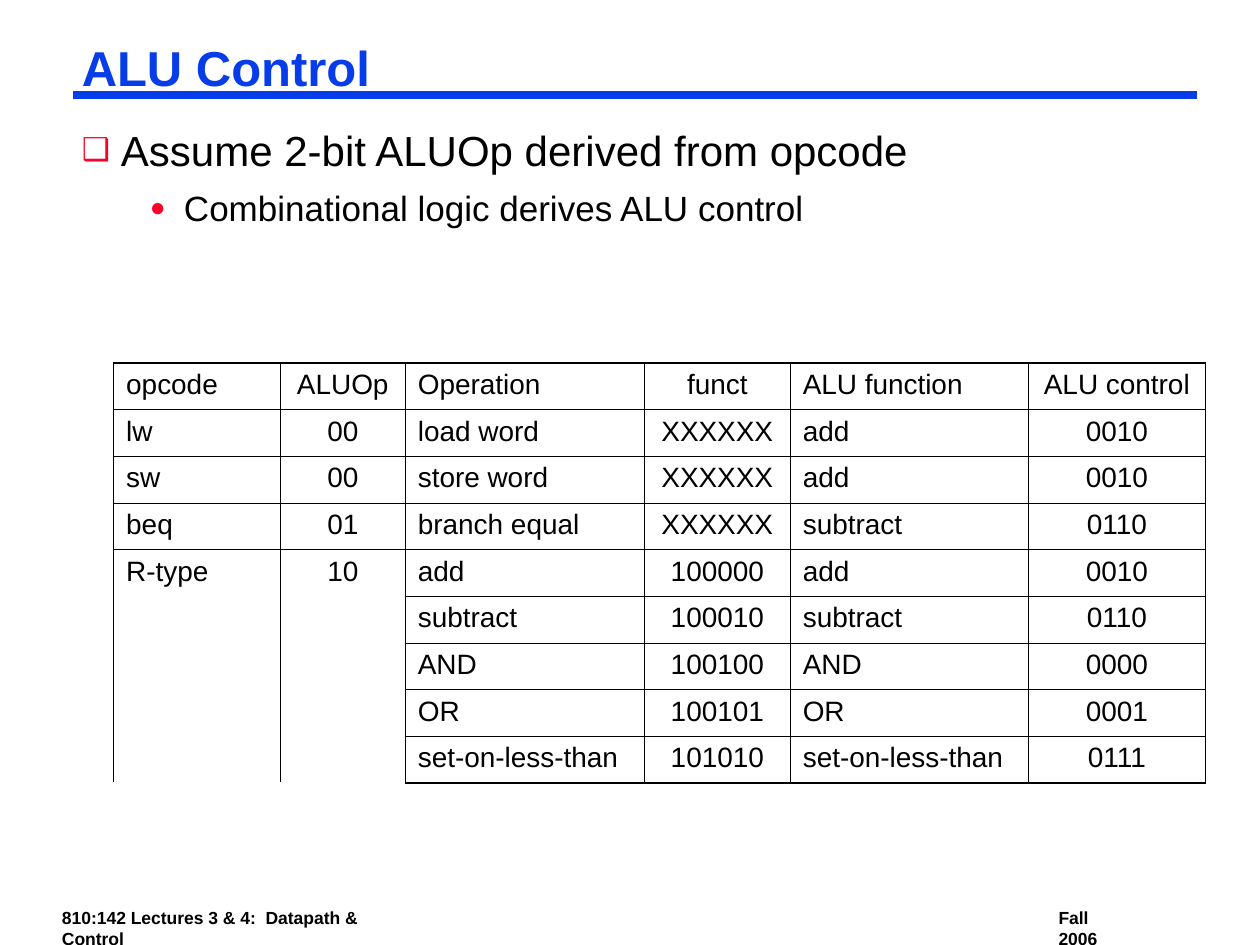
from lxml import etree
from pptx import Presentation
from pptx.dml.color import RGBColor
from pptx.enum.shapes import MSO_CONNECTOR
from pptx.enum.text import MSO_ANCHOR, PP_ALIGN
from pptx.oxml.ns import qn
from pptx.util import Cm, Pt

LEFT, CENTER = PP_ALIGN.LEFT, PP_ALIGN.CENTER
TOP = MSO_ANCHOR.TOP
STRAIGHT = MSO_CONNECTOR.STRAIGHT

FONT = "Arial"
BLACK, BLUE, RED = "000000", "063DE8", "FC0128"
OUTER, HEADER, INNER = 1.08, 0.75, 0.45  # border widths in points

COLUMN_WIDTHS = [3.36, 2.52, 4.82, 2.94, 4.8, 3.57]
COLUMN_ALIGNS = [LEFT, CENTER] * 3
ROW_HEIGHT = 0.94
ALU_ROWS = [
    ["opcode", "ALUOp", "Operation", "funct", "ALU function", "ALU control"],
    ["lw", "00", "load word", "XXXXXX", "add", "0010"],
    ["sw", "00", "store word", "XXXXXX", "add", "0010"],
    ["beq", "01", "branch equal", "XXXXXX", "subtract", "0110"],
    ["R-type", "10", "add", "100000", "add", "0010"],
    ["", "", "subtract", "100010", "subtract", "0110"],
    ["", "", "AND", "100100", "AND", "0000"],
    ["", "", "OR", "100101", "OR", "0001"],
    ["", "", "set-on-less-than", "101010", "set-on-less-than", "0111"],
]
R_TYPE_ROW = 4


def rgb(color):
    return RGBColor.from_string(color)


def write(p, text, size=16, color=BLACK, bold=False, align=LEFT,
          line=None, before=None):
    """Put formatted text into a paragraph."""
    p.alignment = align
    if line is not None:
        p.line_spacing = line
    if before is not None:
        p.space_before = Pt(before)
    r = p.add_run()
    r.text = text
    r.font.name = FONT
    r.font.size = Pt(size)
    r.font.bold = bold
    r.font.color.rgb = rgb(color)


def add_box(s, x, y, w, h, wrap=True):
    """Add an empty text box and return its text frame."""
    tf = s.shapes.add_textbox(Cm(x), Cm(y), Cm(w), Cm(h)).text_frame
    tf.word_wrap = wrap
    tf.vertical_anchor = TOP
    tf.margin_left = tf.margin_right = Cm(0.18)
    tf.margin_top = tf.margin_bottom = Cm(0.08)
    return tf


def add_bullet(p, char, left, hanging, level=0):
    """Give a paragraph a red bullet with a hanging indent."""
    p.level = level
    pPr = p._p.get_or_add_pPr()
    pPr.set("marL", str(Cm(left)))
    pPr.set("indent", str(-Cm(hanging)))
    clr = etree.SubElement(pPr, qn("a:buClr"))
    etree.SubElement(clr, qn("a:srgbClr"), val=RED)
    etree.SubElement(pPr, qn("a:buSzPct"), val="75000")
    etree.SubElement(pPr, qn("a:buFont"), typeface=FONT)
    etree.SubElement(pPr, qn("a:buChar"), char=char)


def add_rule(s, x1, x2, y, width, color):
    """Add a horizontal line without a shadow."""
    sp = s.shapes.add_connector(STRAIGHT, Cm(x1), Cm(y), Cm(x2), Cm(y))
    sp.line.color.rgb = rgb(color)
    sp.line.width = Pt(width)
    etree.SubElement(sp._element.spPr, qn("a:effectLst"))


def add_border(cell, side, width):
    ln = etree.SubElement(cell._tc.get_or_add_tcPr(), qn("a:ln" + side),
                          w=str(Pt(width)))
    fill = etree.SubElement(ln, qn("a:solidFill"))
    etree.SubElement(fill, qn("a:srgbClr"), val=BLACK)


def frame_cell(table, row, col):
    """Draw the borders of one cell, leaving the inside of merged cells open."""
    cell = table.cell(row, col)
    last_row, last_col = len(table.rows) - 1, len(table.columns) - 1
    add_border(cell, "L", OUTER if col == 0 else INNER)
    add_border(cell, "R", OUTER if col == last_col else INNER)
    if not cell.is_spanned:
        add_border(cell, "T", {0: OUTER, 1: HEADER}.get(row, INNER))
    if row == last_row or not table.cell(row + 1, col).is_spanned:
        add_border(cell, "B", {0: HEADER, last_row: OUTER}.get(row, INNER))


def add_alu_table(s, x, y):
    n_rows, n_cols = len(ALU_ROWS), len(COLUMN_WIDTHS)
    table = s.shapes.add_table(n_rows, n_cols, Cm(x), Cm(y),
                               Cm(sum(COLUMN_WIDTHS)),
                               Cm(ROW_HEIGHT * n_rows)).table
    table.first_row = table.horz_banding = False
    for column, width in zip(table.columns, COLUMN_WIDTHS):
        column.width = Cm(width)
    for row in table.rows:
        row.height = Cm(ROW_HEIGHT)
    # opcode and ALUOp are shared by all R-type operations
    for col in (0, 1):
        table.cell(R_TYPE_ROW, col).merge(table.cell(n_rows - 1, col))
    for i, texts in enumerate(ALU_ROWS):
        for j, text in enumerate(texts):
            cell = table.cell(i, j)
            frame_cell(table, i, j)
            cell.fill.background()
            if not cell.is_spanned:
                write(cell.text_frame.paragraphs[0], text,
                      align=COLUMN_ALIGNS[j], before=4)


def main():
    prs = Presentation()
    prs.slide_width, prs.slide_height = Cm(25.4), Cm(19.05)
    s = prs.slides.add_slide(prs.slide_layouts[6])

    # Footer
    for x, w, text in [(1.07, 7.65, "810:142 Lectures 3 & 4:  Datapath & Control"),
                       (21.16, 1.83, "Fall 2006")]:
        tf = add_box(s, x, 18.21, w, 0.56, wrap=False)
        write(tf.paragraphs[0], text, size=10, bold=True)

    # Title and its rule
    add_rule(s, 1.47, 24.13, 1.91, 4.5, BLUE)
    tf = add_box(s, 1.47, 0.84, 22.66, 1.17)
    write(tf.paragraphs[0], "ALU Control", size=28, color=BLUE, bold=True,
          line=0.87)

    # Bullets
    tf = add_box(s, 1.47, 2.54, 22.66, 6.65)
    p = tf.paragraphs[0]
    write(p, "Assume 2-bit ALUOp derived from opcode", size=24, line=0.9,
          before=19.5)
    add_bullet(p, "❑", 0.79, 0.79)
    p = tf.add_paragraph()
    write(p, "Combinational logic derives ALU control", size=20, line=0.85,
          before=10)
    add_bullet(p, "●", 2.06, 0.69, level=1)

    # Control table
    add_alu_table(s, 2.29, 7.32)

    prs.save("out.pptx")


if __name__ == "__main__":
    main()
